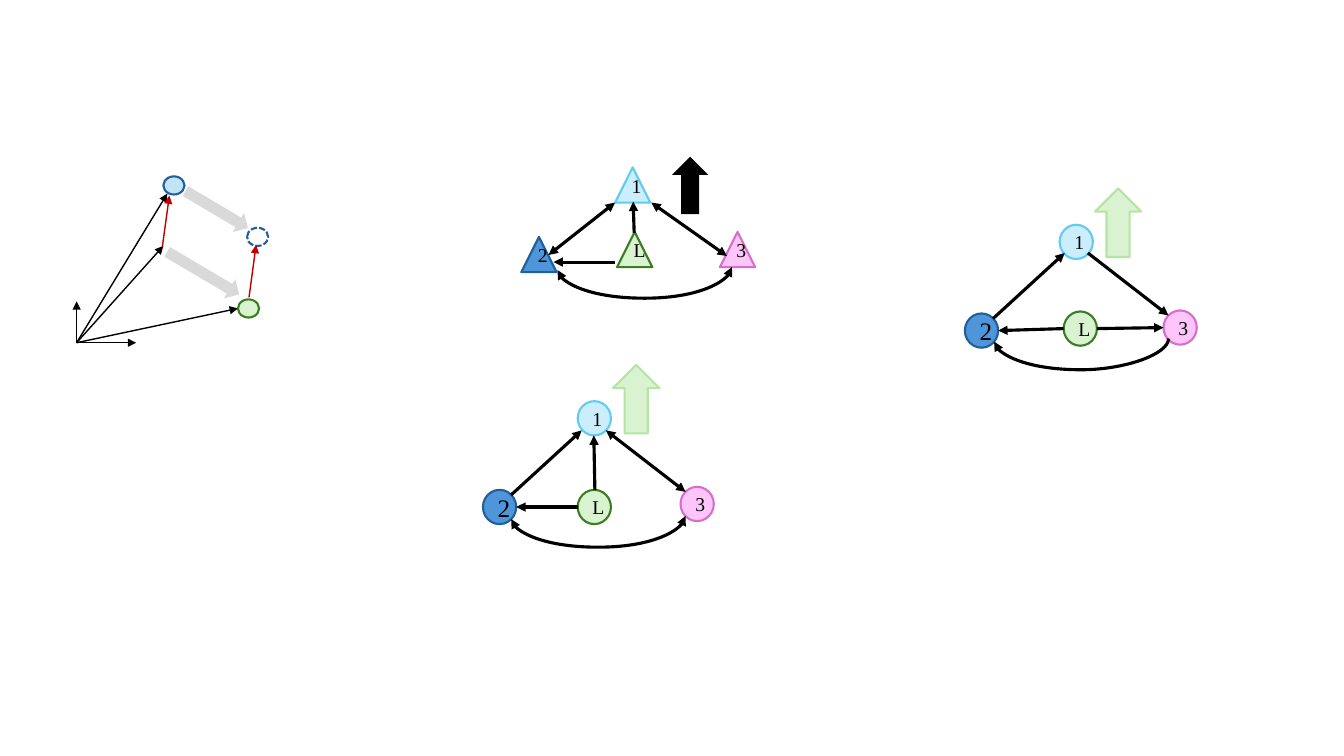
from dataclasses import dataclass
from typing import NamedTuple

from lxml import etree
from pptx import Presentation
from pptx.dml.color import RGBColor
from pptx.enum.dml import MSO_LINE
from pptx.enum.shapes import MSO_CONNECTOR, MSO_SHAPE
from pptx.enum.text import MSO_ANCHOR, PP_ALIGN
from pptx.oxml.ns import qn
from pptx.util import Inches, Pt

CIRCLE, TRIANGLE, ARROW = MSO_SHAPE.OVAL, MSO_SHAPE.ISOSCELES_TRIANGLE, MSO_SHAPE.RIGHT_ARROW
STRAIGHT, CURVE = MSO_CONNECTOR.STRAIGHT, MSO_CONNECTOR.CURVE
SHORT_DASH = MSO_LINE.SQUARE_DOT
MIDDLE, CENTER = MSO_ANCHOR.MIDDLE, PP_ALIGN.CENTER


class Paint(NamedTuple):
    fill: str | None
    line: str | None


@dataclass(frozen=True)
class Theme:
    font: str = "Times New Roman"
    black: str = "000000"
    red: str = "C00000"
    start: Paint = Paint("C1E5F5", "215F9A")
    leader: Paint = Paint("D9F2D0", "3B7D23")
    target: Paint = Paint(None, "215F9A")
    first: Paint = Paint("CAEEFB", "61CBF4")
    second: Paint = Paint("4E95D9", "215F9A")
    third: Paint = Paint("FDC5FA", "D86ECC")
    shift: Paint = Paint("D9D9D9", None)
    heading: Paint = Paint("D9F2D0", "B4E5A2")
    dark_heading: Paint = Paint("000000", None)
    label_size: int = 14
    large_label_size: int = 18
    outline: float = 1.5
    vector_width: float = 1
    link_width: float = 2.25


THEME = Theme()
AGENT_PAINT = {"L": THEME.leader, "1": THEME.first, "2": THEME.second, "3": THEME.third}


class Box(NamedTuple):
    left: float
    top: float
    width: float
    height: float


class Link(NamedTuple):
    x1: float
    y1: float
    x2: float
    y2: float
    both_ways: bool = False


class BlockArrow(NamedTuple):
    box: Box
    rotation: float
    paint: Paint


class Arc(NamedTuple):
    left: float
    top: float
    head: bool
    tail: bool


@dataclass(frozen=True)
class Network:
    form: int
    size: tuple[float, float]
    agents: dict[str, tuple[float, float]]
    links: list[Link]
    arc: Arc
    direction: BlockArrow
    label_sizes: dict[str, int]
    margins: dict[str, int]


def add_figure(shapes, form: int, box: Box, paint: Paint):
    figure = shapes.add_shape(form, *map(Inches, box))
    figure.shadow.inherit = False
    if paint.fill:
        figure.fill.solid()
        figure.fill.fore_color.rgb = RGBColor.from_string(paint.fill)
    else:
        figure.fill.background()
    if paint.line:
        figure.line.color.rgb = RGBColor.from_string(paint.line)
        figure.line.width = Pt(THEME.outline)
    else:
        figure.line.fill.background()
    return figure


def add_block_arrow(shapes, arrow: BlockArrow) -> None:
    add_figure(shapes, ARROW, arrow.box, arrow.paint).rotation = arrow.rotation


def add_link(shapes, link: Link, color: str, width: float, kind: int = STRAIGHT,
             head: bool = False, tail: bool = True):
    connector = shapes.add_connector(kind, *map(Inches, link[:4]))
    connector.line.color.rgb = RGBColor.from_string(color)
    connector.line.width = Pt(width)
    properties = connector._element.spPr
    outline = properties.find(qn("a:ln"))
    for tag, shown in (("a:headEnd", head), ("a:tailEnd", tail)):
        if shown:
            etree.SubElement(outline, qn(tag), type="triangle")
    etree.SubElement(properties, qn("a:effectLst"))
    return connector


def add_arc(shapes, arc: Arc) -> None:
    """Curve below the network: a narrow S-connector turned a quarter, bulging down."""
    width, height, bulge = 0.03, 1.73, -934200
    diagonal = Link(arc.left + width, arc.top + height, arc.left, arc.top)
    connector = add_link(shapes, diagonal, THEME.black, THEME.link_width, CURVE, arc.head, arc.tail)
    properties = connector._element.spPr
    properties.find(qn("a:xfrm")).set("rot", str(90 * 60000))
    guides = properties.find(qn("a:prstGeom")).find(qn("a:avLst"))
    etree.SubElement(guides, qn("a:gd"), name="adj1", fmla=f"val {bulge}")


def add_agent(shapes, network: Network, label: str) -> None:
    box = Box(*network.agents[label], *network.size)
    frame = add_figure(shapes, network.form, box, AGENT_PAINT[label]).text_frame
    for name, value in ({"vertical_anchor": MIDDLE} | network.margins).items():
        setattr(frame, name, value)
    paragraph = frame.paragraphs[0]
    paragraph.alignment = CENTER
    run = paragraph.add_run()
    run.text = label
    label_format = {"name": THEME.font,
                    "size": Pt(network.label_sizes.get(label, THEME.label_size))}
    for name, value in label_format.items():
        setattr(run.font, name, value)
    run.font.color.rgb = RGBColor.from_string(THEME.black)


def add_network(shapes, network: Network) -> None:
    for label in network.agents:
        add_agent(shapes, network, label)
    for link in network.links:
        add_link(shapes, link, THEME.black, THEME.link_width, head=link.both_ways)
    add_arc(shapes, network.arc)
    add_block_arrow(shapes, network.direction)


def add_vector_diagram(shapes) -> None:
    # Axes and position vectors from the shared origin
    origin = (0.76, 3.4)
    for tip in ((1.35, 3.4), (0.76, 2.99), (1.66, 1.92), (2.36, 3.06), (1.62, 2.44)):
        add_link(shapes, Link(*origin, *tip), THEME.black, THEME.vector_width)
    # Start, leader and target positions
    points = [(1.62, 1.75, THEME.start), (2.36, 2.97, THEME.leader), (2.45, 2.26, THEME.target)]
    for left, top, paint in points:
        point = add_figure(shapes, CIRCLE, Box(left, top, 0.21, 0.18), paint)
        if paint is THEME.target:
            point.line.dash_style = SHORT_DASH
    # Offsets kept during the shift
    for offset in (Link(1.61, 2.45, 1.68, 1.94), Link(2.47, 2.95, 2.54, 2.43)):
        add_link(shapes, offset, THEME.red, THEME.vector_width)
    for box in (Box(1.79, 1.97, 0.72, 0.22), Box(1.6, 2.6, 0.83, 0.22)):
        add_block_arrow(shapes, BlockArrow(box, 30.6, THEME.shift))


ROUND = {"form": CIRCLE, "size": (0.33, 0.34), "margins": {},
         "label_sizes": {"2": THEME.large_label_size}}
NETWORKS = [
    Network(**ROUND,
            agents={"L": (10.55, 3.09), "2": (9.57, 3.11), "3": (11.54, 3.08), "1": (10.51, 2.23)},
            links=[Link(10.79, 2.51, 11.59, 3.13), Link(9.85, 3.16, 10.56, 2.51),
                   Link(10.55, 3.26, 9.9, 3.28), Link(10.88, 3.26, 11.54, 3.25)],
            arc=Arc(10.71, 2.51, True, False),
            direction=BlockArrow(Box(10.75, 1.98, 0.68, 0.46), 270, THEME.heading)),
    Network(**ROUND,
            agents={"L": (5.73, 4.86), "2": (4.79, 4.86), "3": (6.75, 4.83), "1": (5.73, 3.98)},
            links=[Link(6.01, 4.27, 6.8, 4.88, True), Link(5.07, 4.91, 5.77, 4.27),
                   Link(5.73, 5.03, 5.12, 5.03), Link(5.9, 4.86, 5.89, 4.32)],
            arc=Arc(5.92, 4.27, True, True),
            direction=BlockArrow(Box(5.97, 3.73, 0.68, 0.46), 270, THEME.heading)),
    Network(form=TRIANGLE, size=(0.35, 0.35), label_sizes={},
            margins={"margin_top": Inches(-0.12)},
            agents={"1": (6.1, 1.66), "2": (5.17, 2.35), "3": (7.14, 2.3), "L": (6.12, 2.3)},
            links=[Link(6.46, 2.01, 7.21, 2.54, True), Link(5.44, 2.53, 6.1, 2.01, True),
                   Link(6.1, 2.6, 5.49, 2.6), Link(6.29, 2.31, 6.28, 2)],
            arc=Arc(6.38, 1.8, True, True),
            direction=BlockArrow(Box(6.56, 1.66, 0.57, 0.36), 270, THEME.dark_heading)),
]


def main() -> None:
    deck = Presentation()
    deck.slide_width, deck.slide_height = Inches(13.33), Inches(7.5)
    shapes = deck.slides.add_slide(deck.slide_layouts[6]).shapes
    add_vector_diagram(shapes)
    for network in NETWORKS:
        add_network(shapes, network)
    deck.save("out.pptx")


if __name__ == "__main__":
    main()
